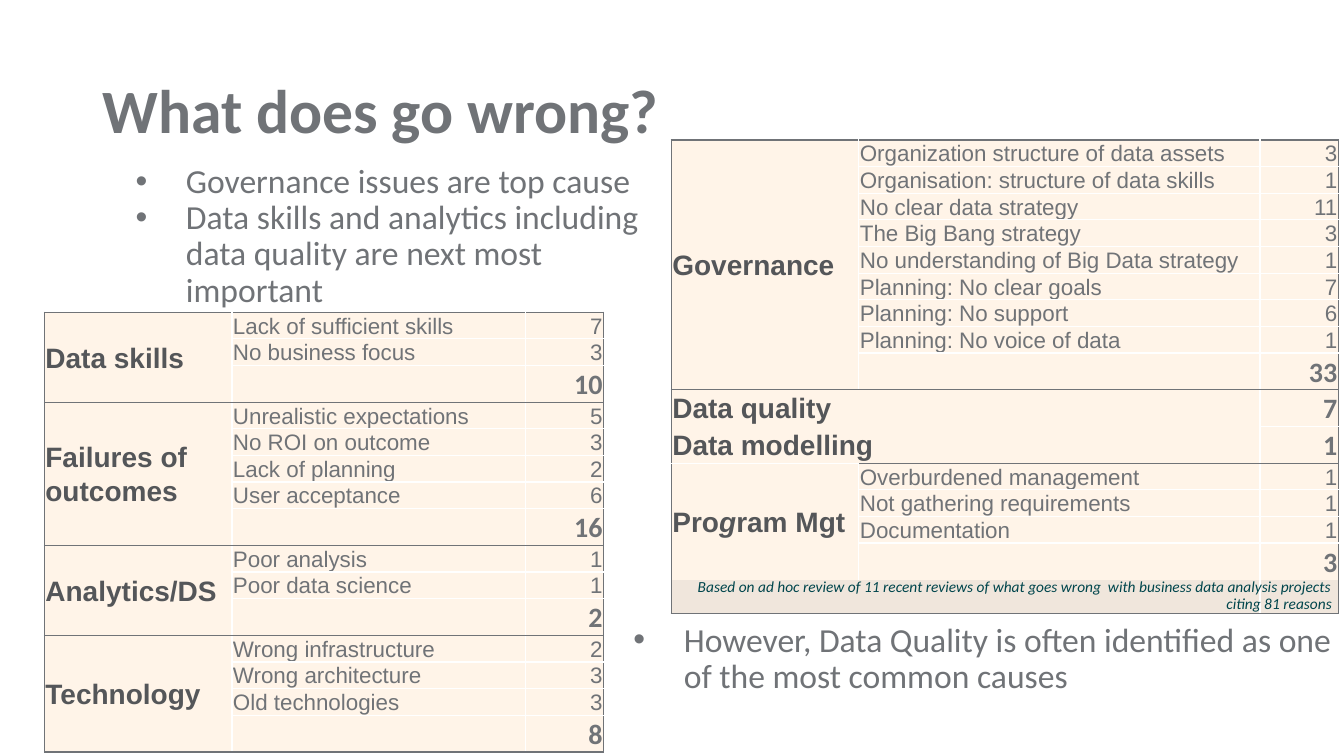
"""Build the slide that counts what goes wrong in business data projects."""
import dataclasses
from typing import Optional

import pptx
import pptx.dml.color
import pptx.enum.text
import pptx.oxml
import pptx.oxml.ns
import pptx.presentation
import pptx.slide
import pptx.table
import pptx.text.text
import pptx.util

Pt = pptx.util.Pt
Align = pptx.enum.text.PP_ALIGN
Anchor = pptx.enum.text.MSO_ANCHOR


@dataclasses.dataclass(frozen=True)
class Theme:
    text: str = "707377"
    label: str = "545659"
    note: str = "00454C"
    rule: str = "707377"
    grid: str = "FFFFFF"
    cell: str = "FFF4E8"
    footer: str = "F0E6DC"
    heading_font: str = "Calibri"
    table_font: str = "Arial"
    title_size: float = 44
    body_size: float = 24
    total_size: float = 20
    item_size: float = 16
    note_size: float = 11


THEME = Theme()


@dataclasses.dataclass(frozen=True)
class Box:
    left: float
    top: float
    width: float
    height: float


@dataclasses.dataclass(frozen=True)
class Style:
    size: float
    color: str = THEME.text
    font: str = THEME.heading_font
    bold: bool = False
    italic: bool = False


@dataclasses.dataclass(frozen=True)
class Group:
    label: tuple[str, ...]
    total: str
    items: tuple[tuple[str, str], ...] = ()
    label_top: Optional[str] = THEME.rule
    value_top: Optional[str] = THEME.rule
    fill: str = THEME.cell
    height: float = 26.2

    def top_edge(self, column: int) -> Optional[str]:
        """Return the colour of the line above this group in a column."""
        spans_items = column == 1 and not self.items
        return self.label_top if column == 0 or spans_items else self.value_top


@dataclasses.dataclass(frozen=True)
class CauseTable:
    left: float
    top: float
    item_width: float
    groups: tuple[Group, ...]


TITLE_STYLE = Style(THEME.title_size, bold=True)
BODY_STYLE = Style(THEME.body_size)
NOTE_STYLE = Style(THEME.note_size, THEME.note, italic=True)
ITEM_STYLE = Style(THEME.item_size, font=THEME.table_font)
LABEL_STYLE = Style(THEME.total_size, THEME.label, THEME.table_font, bold=True)
TOTAL_STYLE = Style(THEME.total_size, bold=True)
ITEM_HEIGHT, LABEL_WIDTH, VALUE_WIDTH = 19, 134, 56

GOVERNANCE = CauseTable(479.5, 100, 286.5, (
    Group(("Governance",), "33", (
        ("Organization structure of data assets", "3"),
        ("Organisation: structure of data skills", "1"),
        ("No clear data strategy", "11"),
        ("The Big Bang strategy", "3"),
        ("No understanding of Big Data strategy", "1"),
        ("Planning: No clear goals", "7"),
        ("Planning: No support", "6"),
        ("Planning: No voice of data", "1"))),
    Group(("Data quality",), "7"),
    Group(("Data modelling",), "1", label_top=None, value_top=THEME.grid),
    Group(("Pro", "g", "ram Mgt"), "3", (
        ("Overburdened management", "1"),
        ("Not gathering requirements", "1"),
        ("Documentation", "1")), label_top=THEME.grid),
    Group((), "", label_top=None, value_top=None, fill=THEME.footer, height=24.3)))

DELIVERY = CauseTable(31.7, 223, 209.5, (
    Group(("Data skills",), "10", (
        ("Lack of sufficient skills", "7"), ("No business focus", "3"))),
    Group(("Failures of outcomes",), "16", (
        ("Unrealistic expectations", "5"), ("No ROI on outcome", "3"),
        ("Lack of planning", "2"), ("User acceptance", "6"))),
    Group(("Analytics/DS",), "2", (
        ("Poor analysis", "1"), ("Poor data science", "1"))),
    Group(("Technology",), "8", (
        ("Wrong infrastructure", "2"), ("Wrong architecture", "3"),
        ("Old technologies", "3")))))


def format_paragraph(paragraph: pptx.text.text._Paragraph, style: Style,
                     align: Align = Align.LEFT, spacing: float = 0.9) -> None:
    """Apply a style to a paragraph and its runs."""
    paragraph.alignment = align
    paragraph.line_spacing = spacing
    paragraph.space_before = paragraph.space_after = Pt(0)
    for run in paragraph.runs:
        font = run.font
        font.size, font.name = Pt(style.size), style.font
        font.bold, font.italic = style.bold, style.italic
        font.color.rgb = pptx.dml.color.RGBColor.from_string(style.color)


def place(shape, box: Box) -> None:
    """Move and size a shape."""
    shape.left, shape.top = Pt(box.left), Pt(box.top)
    shape.width, shape.height = Pt(box.width), Pt(box.height)


def fill_bullets(shape, box: Box, lines: tuple[str, ...]) -> None:
    """Turn a body placeholder into a bulleted list."""
    place(shape, box)
    frame = shape.text_frame
    frame.text = "\n".join(lines)
    frame.auto_size = pptx.enum.text.MSO_AUTO_SIZE.NONE
    for paragraph in frame.paragraphs:
        format_paragraph(paragraph, BODY_STYLE)
        properties = paragraph._p.get_or_add_pPr()
        properties.set("marL", str(Pt(50)))
        properties.set("indent", str(Pt(-36)))
        namespace = pptx.oxml.ns.nsdecls("a")
        for bullet in (f'<a:buClr {namespace}><a:srgbClr val="{THEME.text}"/></a:buClr>',
                       f'<a:buFont {namespace} typeface="Arial"/>',
                       f'<a:buChar {namespace} char="•"/>'):
            properties.append(pptx.oxml.parse_xml(bullet))


def format_cell(cell: pptx.table._Cell, fill: str,
                edges: dict[str, Optional[str]]) -> None:
    """Set the margins, borders and fill of a cell."""
    cell.margin_left = cell.margin_right = Pt(0.75)
    cell.margin_top = cell.margin_bottom = Pt(0)
    properties = cell._tc.get_or_add_tcPr()
    for side, color in edges.items():
        paint = (f'<a:solidFill><a:srgbClr val="{color}"/></a:solidFill>'
                 if color else "<a:noFill/>")
        properties.append(pptx.oxml.parse_xml(
            f'<a:ln{side} {pptx.oxml.ns.nsdecls("a")} w="{Pt(1)}">{paint}</a:ln{side}>'))
    cell.fill.solid()
    cell.fill.fore_color.rgb = pptx.dml.color.RGBColor.from_string(fill)


def write_cell(cell: pptx.table._Cell, parts: tuple[str, ...], style: Style,
               align: Align = Align.LEFT) -> None:
    """Write text parts into a cell, every second one in italics."""
    paragraph = cell.text_frame.paragraphs[0]
    for part in parts:
        paragraph.add_run().text = part
    format_paragraph(paragraph, style, align, 1.07)
    for run in paragraph.runs[1::2]:
        run.font.italic = True


def draw_group(table: pptx.table.Table, first: int, group: Group,
               following: Optional[Group]) -> int:
    """Draw one group of causes and return the row after it."""
    last = first + len(group.items)
    rows = group.items + (("", group.total),)
    for row, (cause, count) in enumerate(rows, first):
        is_total = row == last
        table.rows[row].height = Pt(group.height if is_total else ITEM_HEIGHT)
        for column in range(3):
            inner = None if column == 0 else THEME.grid
            closing = following.top_edge(column) if following else THEME.rule
            closes = is_total or (column == 0 and row == first)
            format_cell(table.cell(row, column), group.fill, {
                "L": THEME.rule if column == 0 else THEME.grid,
                "R": THEME.rule if column == 2 else THEME.grid,
                "T": group.top_edge(column) if row == first else inner,
                "B": closing if closes else inner})
        if cause:
            write_cell(table.cell(row, 1), (cause,), ITEM_STYLE)
        if count:
            write_cell(table.cell(row, 2), (count,),
                       TOTAL_STYLE if is_total else ITEM_STYLE, Align.RIGHT)
    label = table.cell(first, 0)
    write_cell(label, group.label, LABEL_STYLE)
    label.vertical_anchor = Anchor.MIDDLE
    label.merge(table.cell(last, 0 if group.items else 1))
    return last + 1


def draw_table(slide: pptx.slide.Slide, causes: CauseTable) -> None:
    """Draw a table of grouped causes."""
    widths = (LABEL_WIDTH, causes.item_width, VALUE_WIDTH)
    row_count = sum(len(group.items) + 1 for group in causes.groups)
    table = slide.shapes.add_table(
        row_count, 3, Pt(causes.left), Pt(causes.top), Pt(sum(widths)),
        Pt(row_count * ITEM_HEIGHT)).table
    table.first_row = table.horz_banding = False
    for column, width in zip(table.columns, widths):
        column.width = Pt(width)
    row = 0
    for group, following in zip(causes.groups, causes.groups[1:] + (None,)):
        row = draw_group(table, row, group, following)


def draw_note(slide: pptx.slide.Slide, box: Box, text: str) -> None:
    """Draw the right-aligned source note."""
    frame = slide.shapes.add_textbox(
        Pt(box.left), Pt(box.top), Pt(box.width), Pt(box.height)).text_frame
    frame.word_wrap = True
    frame.margin_left = frame.margin_right = frame.margin_top = frame.margin_bottom = Pt(0)
    frame.text = text
    format_paragraph(frame.paragraphs[0], NOTE_STYLE, Align.RIGHT)


def main() -> None:
    """Build and save the presentation."""
    presentation = pptx.Presentation()
    presentation.slide_width, presentation.slide_height = Pt(960), Pt(540)
    slide = presentation.slides.add_slide(presentation.slide_layouts[3])
    title, causes_body, quality_body = slide.placeholders
    place(title, Box(66, 29, 828, 104))
    title.text_frame.text = "What does go wrong?"
    title.text_frame.vertical_anchor = Anchor.MIDDLE
    format_paragraph(title.text_frame.paragraphs[0], TITLE_STYLE)
    fill_bullets(causes_body, Box(75.6, 113.8, 456, 78.5), (
        "Governance issues are top cause",
        "Data skills and analytics including\vdata quality are next most \vimportant"))
    fill_bullets(quality_body, Box(431.3, 441.4, 528.5, 78.5), (
        "However, Data Quality is often identified as one of the most common causes",))
    draw_table(slide, GOVERNANCE)
    draw_table(slide, DELIVERY)
    draw_note(slide, Box(425.5, 414, 528.5, 23.8),
              "Based on ad hoc review of 11 recent reviews of what goes wrong  with "
              "business data analysis projects \vciting 81 reasons ")
    presentation.save("out.pptx")


if __name__ == "__main__":
    main()
